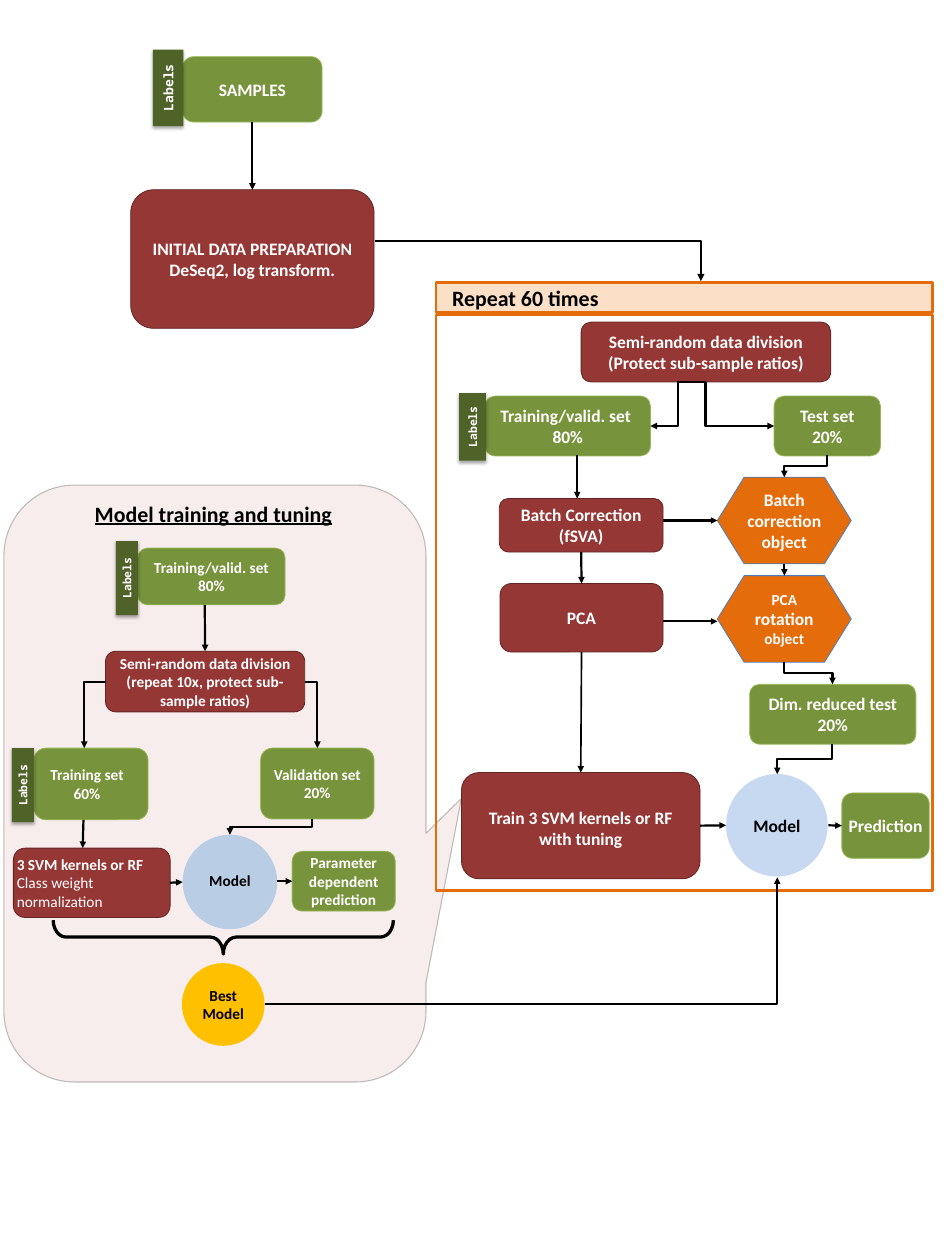
from lxml.etree import SubElement
from pptx import Presentation
from pptx.dml.color import RGBColor
from pptx.enum.shapes import MSO_CONNECTOR, MSO_SHAPE
from pptx.enum.text import MSO_ANCHOR, PP_ALIGN
from pptx.oxml.ns import qn
from pptx.util import Inches, Pt

THEME = {
    "font": "Calibri", "mono": "Noto Sans Mono", "white": "FFFFFF", "black": "000000",
    "big": 20, "main": 16, "tuning": 14, "tag": 12, "small_tag": 10.5,
    "arrow": 2, "thin_arrow": 1.5, "bold_arrow": 2.25,
}
STYLES = {
    "step": (MSO_SHAPE.FLOWCHART_ALTERNATE_PROCESS, "953735", "632523", 0.75, "white"),
    "data": (MSO_SHAPE.FLOWCHART_ALTERNATE_PROCESS, "77933C", "98B955", 0.75, "white"),
    "object": (MSO_SHAPE.FLOWCHART_PREPARATION, "E46C0A", "4B7EBC", 0.75, "white"),
    "model": (MSO_SHAPE.OVAL, "C6D9F1", None, 0, "black"),
    "tuned": (MSO_SHAPE.OVAL, "B9CDE5", None, 0, "black"),
    "best": (MSO_SHAPE.OVAL, "FFC000", None, 0, "black"),
    "label": (MSO_SHAPE.RECTANGLE, "4F6228", None, 0, "white"),
    "frame": (MSO_SHAPE.RECTANGLE, None, "E46C0A", 2.25, "black"),
    "banner": (MSO_SHAPE.RECTANGLE, "FAC090", "E46C0A", 2.25, "black"),
    "callout": (MSO_SHAPE.ROUNDED_RECTANGULAR_CALLOUT, "E6B9B8", "000000", 1, "black"),
    "brace": (MSO_SHAPE.RIGHT_BRACE, None, "000000", 3, "black"),
}
ALPHAS = {"callout": (25, 24), "banner": (50,)}
ADJUSTMENTS = {"callout": (0.584, 0.025, 0.167), "brace": (0.381, 0.5)}
ROTATIONS = {"label": 270, "brace": 90}
DEFAULT, TIGHT = (0.1, 0.05, 0.1, 0.05), (0, 0.05, 0, 0.05)

BACKDROP = [
    ("callout", (0.05, 6.16, 5.36, 7.58)),
    ("frame", (5.54, 4, 6.3, 7.31)),
    ("brace", (2.62, 9.74, 0.43, 4.32)),
]
NODES = {
    "prep": ("step", (1.66, 2.41, 3.09, 1.76), "main", DEFAULT,
             ["INITIAL DATA PREPARATION", "DeSeq2, log transform."]),
    "samples": ("data", (2.32, 0.72, 1.77, 0.83), "main", DEFAULT, ["SAMPLES"]),
    "model": ("model", (9.22, 9.83, 1.29, 1.3), "main", DEFAULT, ["Model"]),
    "division": ("step", (7.38, 4.09, 3.17, 0.76), "main", DEFAULT,
                 ["Semi-random data division", "(Protect sub-sample ratios)"]),
    "training": ("data", (6.16, 5.03, 2.1, 0.76), "main", DEFAULT,
                 ["Training/valid. set ", "80%"]),
    "test": ("data", (9.83, 5.03, 1.35, 0.76), "main", DEFAULT, ["Test set", "20%"]),
    "rotation": ("object", (9.11, 7.31, 1.7, 1.1), "tuning", DEFAULT,
                 ["PCA", "rotation", "object"]),
    "reduced": ("data", (9.52, 8.69, 2.11, 0.76), "main", DEFAULT,
                ["Dim. reduced test", "20%"]),
    "train": ("step", (5.86, 9.81, 3.03, 1.35), "main", (0, 0.05, 0, 0),
              ["Train 3 SVM kernels or RF", "with tuning"]),
    "prediction": ("data", (10.69, 10.07, 1.11, 0.83), "main", (0.02, 0.05, 0.02, 0.05),
                   ["Prediction"]),
    "repeat": ("banner", (5.54, 3.59, 6.3, 0.38), "big", (0.2, 0.05, 0.1, 0.05),
               ["Repeat 60 times"]),
    "batch": ("step", (6.34, 6.33, 2.08, 0.68), "main", DEFAULT, ["Batch Correction (fSVA)"]),
    "correction": ("object", (9.11, 6.06, 1.7, 1.1), "main", TIGHT,
                   ["Batch", "correction object"]),
    "pca": ("step", (6.35, 7.41, 2.07, 0.87), "main", DEFAULT, ["PCA"]),
    "tuning set": ("data", (1.75, 6.96, 1.87, 0.72), "tuning", TIGHT,
                   ["Training/valid. set 80%"]),
    "tuning division": ("step", (1.34, 8.27, 2.53, 0.77), "tuning", TIGHT,
                        ["Semi-random data division (repeat 10x, protect sub-sample ratios)"]),
    "tuned model": ("tuned", (2.32, 10.6, 1.2, 1.2), "tuning", (0, 0, 0, 0.05), ["Model"]),
    "training 60": ("data", (0.43, 9.5, 1.45, 0.91), "tuning", (0, 0.05, 0.1, 0.05),
                    ["Training set", "60%"]),
    "validation": ("data", (3.31, 9.5, 1.44, 0.9), "tuning", DEFAULT,
                   ["Validation set", "20%"]),
    "kernels": ("step", (0.17, 10.77, 1.99, 0.88), "tuning", TIGHT,
                ["3 SVM kernels or RF", "Class weight normalization"]),
    "parameters": ("data", (3.71, 10.81, 1.31, 0.76), "tuning", TIGHT,
                   ["Parameter dependent prediction"]),
    "best": ("best", (2.31, 12.23, 1.05, 1.05), "tuning", DEFAULT, ["Best", "Model"]),
    "tag 1": ("label", (1.65, 0.92, 0.97, 0.39), "tag", DEFAULT, ["Labels"]),
    "tag 2": ("label", (5.57, 5.25, 0.86, 0.34), "small_tag", DEFAULT, ["Labels"]),
    "tag 3": ("label", (1.14, 7.2, 0.94, 0.28), "small_tag", DEFAULT, ["Labels"]),
    "tag 4": ("label", (-0.18, 9.83, 0.94, 0.28), "small_tag", DEFAULT, ["Labels"]),
}
LEFT_ALIGNED = ("repeat", "kernels")
SPECIAL = {"rotation": {"size": Pt(THEME["main"])},
           "Class weight normalization": {"bold": False}}
HEADING = ("Model training and tuning", (0.7, 6.3, 4.02, 0.44))

TOP, LEFT, BOTTOM, RIGHT = range(4)
STRAIGHT = [
    (("samples", BOTTOM), ("prep", TOP), "arrow"),
    ((7.33, 5.78), (7.33, 6.33), "arrow"),
    (("batch", BOTTOM), ("pca", TOP), "arrow"),
    ((8.42, 6.61), ("correction", LEFT), "arrow"),
    ((8.42, 7.89), (9.11, 7.89), "arrow"),
    (("correction", BOTTOM), ("rotation", TOP), "arrow"),
    (("pca", BOTTOM), ("train", TOP), "thin_arrow"),
    (("train", RIGHT), (9.22, 10.48), "arrow"),
    ((10.52, 10.48), ("prediction", LEFT), "arrow"),
    ((2.6, 7.68), ("tuning division", TOP), "arrow"),
    ((1.06, 10.41), (1.05, 10.77), "arrow"),
    (("kernels", RIGHT), (2.32, 11.2), "arrow"),
    ((3.52, 11.19), ("parameters", LEFT), "arrow"),
]
ELBOWS = [
    ((8.96, 4.85), (8.26, 5.41), "across", 3, "arrow"),
    ((8.96, 4.85), (9.83, 5.41), "down", 2, "arrow"),
    ((10.5, 5.78), (9.96, 6.06), "down", 3, "arrow"),
    ((9.96, 8.41), (10.57, 8.69), "down", 3, "arrow"),
    ((10.57, 9.45), (9.87, 9.83), "down", 3, "arrow"),
    ((3.36, 12.75), (9.87, 11.14), "across", 2, "arrow"),
    ((3.96, 10.4), (2.92, 10.6), "down", 3, "arrow"),
    ((1.34, 8.66), (1.07, 9.5), "across", 2, "arrow"),
    ((3.87, 8.66), (4.03, 9.5), "across", 2, "arrow"),
    ((4.76, 3.06), (8.9, 3.57), "across", 2, "bold_arrow"),
]


def add_styled(s, style, at):
    kind, fill, line, width, _ = STYLES[style]
    sp = s.shapes.add_shape(kind, *map(Inches, at))
    sp.shadow.inherit = False
    sp.rotation = ROTATIONS.get(style, 0)
    for part, color in ((sp.fill, fill), (sp.line.fill, line)):
        if color:
            part.solid()
            part.fore_color.rgb = RGBColor.from_string(color)
        else:
            part.background()
    if line:
        sp.line.width = Pt(width)
    for i, value in enumerate(ADJUSTMENTS.get(style, ())):
        sp.adjustments[i] = value
    spPr = sp._element.spPr
    for clr, alpha in zip(list(spPr.iter(qn("a:srgbClr"))), ALPHAS.get(style, ())):
        SubElement(clr, qn("a:alpha"), val=str(alpha * 1000))
    if style == "label":
        shadow = SubElement(spPr.find(qn("a:effectLst")), qn("a:outerShdw"),
                            blurRad=str(Pt(3.1)), dist=str(Pt(1.8)), dir="5400000", rotWithShape="0")
        clr = SubElement(shadow, qn("a:srgbClr"), val=THEME["black"])
        SubElement(clr, qn("a:alpha"), val="35000")
    return sp


def write(sp, lines, size, color, font="font", insets=DEFAULT, align=PP_ALIGN.CENTER, **extra):
    tf = sp.text_frame
    frame = dict(zip(("margin_left", "margin_top", "margin_right", "margin_bottom"),
                     map(Inches, insets)), word_wrap=True, vertical_anchor=MSO_ANCHOR.MIDDLE)
    for key, value in frame.items():
        setattr(tf, key, value)
    for i, line in enumerate(lines):
        p = tf.add_paragraph() if i else tf.paragraphs[0]
        p.alignment = align
        r = p.add_run()
        r.text = line
        fmt = {"name": THEME[font], "size": Pt(THEME[size]), "bold": True,
               **extra, **SPECIAL.get(line, {})}
        for key, value in fmt.items():
            setattr(r.font, key, value)
        r.font.color.rgb = RGBColor.from_string(THEME[color])


def finish(c, width):
    c.line.color.rgb = RGBColor.from_string(THEME["black"])
    c.line.width = Pt(THEME[width])
    spPr = c._element.spPr
    SubElement(spPr.find(qn("a:ln")), qn("a:tailEnd"), type="triangle")
    SubElement(spPr, qn("a:effectLst"))


def add_straight(s, shapes, start, end, width):
    points = [(0, 0) if isinstance(a[0], str) else a for a in (start, end)]
    c = s.shapes.add_connector(MSO_CONNECTOR.STRAIGHT, *map(Inches, points[0] + points[1]))
    for anchor, join in ((start, c.begin_connect), (end, c.end_connect)):
        if isinstance(anchor[0], str):
            join(shapes[anchor[0]], anchor[1])
    finish(c, width)


def add_elbow(s, start, end, first, legs, width):
    (x1, y1), (x2, y2) = start, end
    w, h = abs(x2 - x1), abs(y2 - y1)
    if first == "down":
        w, h = h, w
        rot, flip = (270, "flipH") if x2 > x1 else (90, None)
    else:
        rot, flip = (0, "flipV" if y2 < y1 else None) if x2 > x1 else (180, "flipV")
    left, top = (x1 + x2 - w) / 2, (y1 + y2 - h) / 2
    c = s.shapes.add_connector(MSO_CONNECTOR.ELBOW, *map(Inches, (left, top, left + w, top + h)))
    xfrm = c._element.spPr.find(qn("a:xfrm"))
    xfrm.set("rot", str(rot * 60000))
    if flip:
        xfrm.set(flip, "1")
    c._element.spPr.find(qn("a:prstGeom")).set("prst", f"bentConnector{legs}")
    finish(c, width)


def main():
    """Build the model training workflow slide."""
    prs = Presentation()
    prs.slide_width, prs.slide_height = Inches(12), Inches(16)
    s = prs.slides.add_slide(prs.slide_layouts[6])
    for style, at in BACKDROP:
        add_styled(s, style, at)
    shapes = {}
    for name, (style, at, size, insets, lines) in NODES.items():
        shapes[name] = add_styled(s, style, at)
        write(shapes[name], lines, size, STYLES[style][4],
              "mono" if style == "label" else "font", insets,
              PP_ALIGN.LEFT if name in LEFT_ALIGNED else PP_ALIGN.CENTER)
    text, at = HEADING
    write(s.shapes.add_textbox(*map(Inches, at)), [text], "big", "black", underline=True)
    for line in STRAIGHT:
        add_straight(s, shapes, *line)
    for line in ELBOWS:
        add_elbow(s, *line)
    prs.save("out.pptx")


if __name__ == "__main__":
    main()
